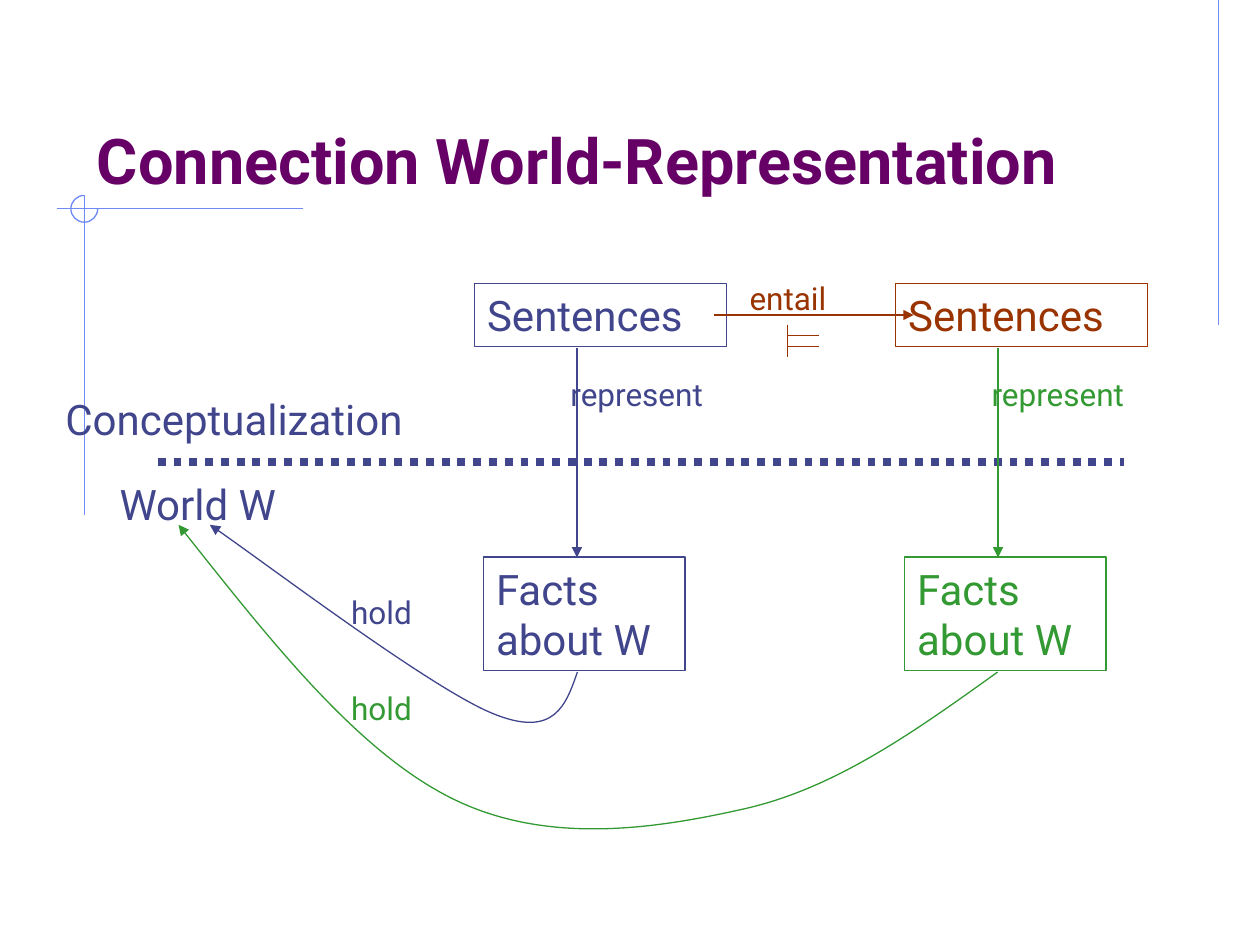
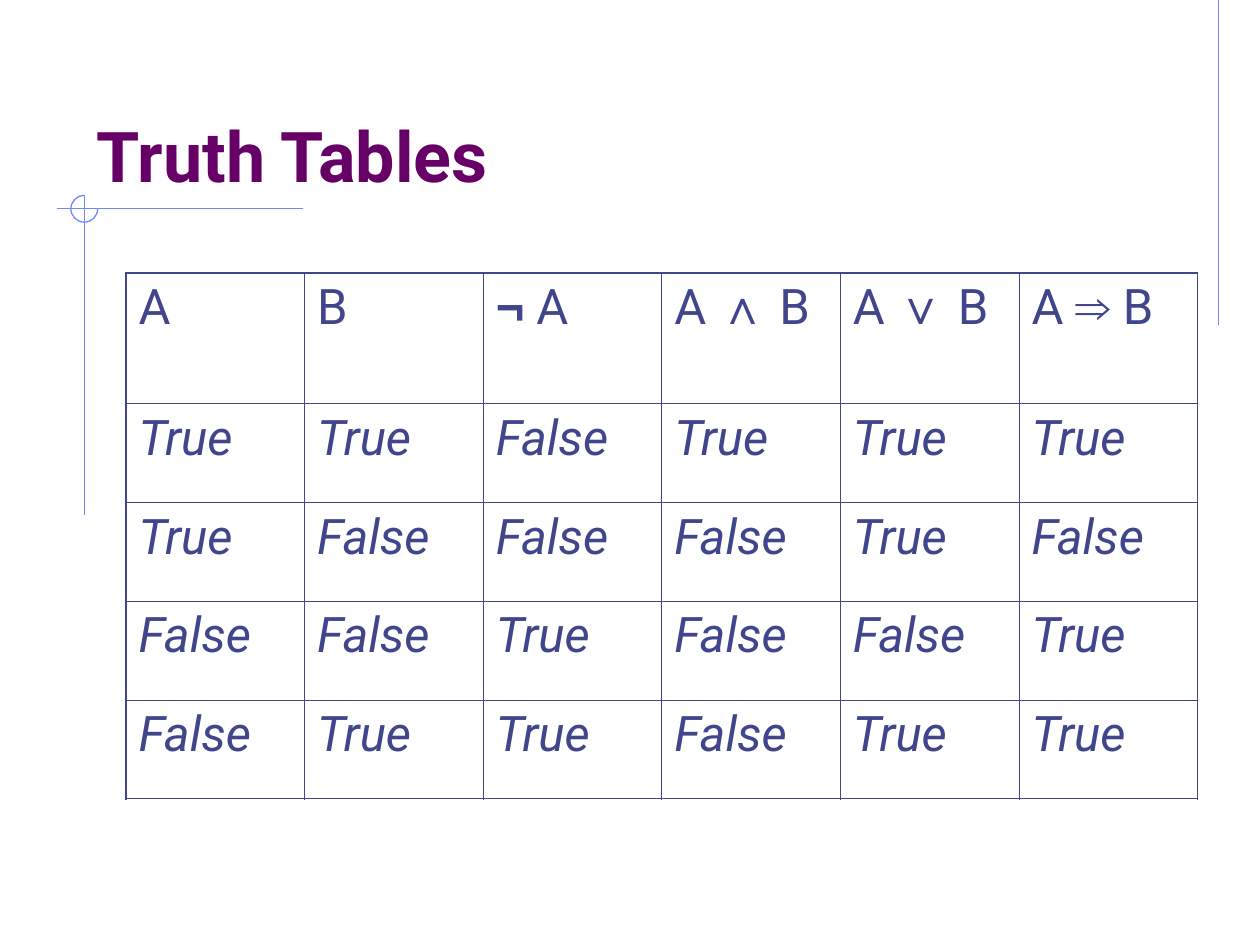
from lxml.etree import SubElement as Sub
from pptx import Presentation
from pptx.dml.color import RGBColor as Rgb
from pptx.enum.dml import MSO_LINE as Dash
from pptx.enum.shapes import MSO_CONNECTOR as Link, MSO_SHAPE as Form
from pptx.enum.text import MSO_ANCHOR as Anchor, MSO_AUTO_SIZE as Fit, PP_ALIGN as Align
from pptx.oxml.ns import qn
from pptx.util import Cm, Pt

HUE = {
    "ink": "40458C",
    "green": "339933",
    "rust": "993300",
    "title": "660066",
    "frame": "6F89F7",
}
BODY, MATH = "Roboto", "Arial"
SIGNS = "¬∧∨⇒"
THIN = 0.75
HEADS = ["A", "B", "¬ A", "A ∧ B", "A ∨ B", "A ⇒ B"]
TRUTH = ["TTFTTT", "TFFFTF", "FFTFFT", "FTTFTT"]
WORDS = {"T": "True", "F": "False"}


def color(name):
    return Rgb.from_string(HUE[name])


def write(frame, text, size=24, hue="ink", bold=False, italic=False, before=0):
    """Fill a text frame; logic signs are set in the bold sign font."""
    para = frame.paragraphs[0]
    para.alignment = Align.LEFT
    para.space_before = Pt(before)
    for row, line in enumerate(text.split("\n")):
        if row:
            para.add_line_break()
        parts = [line]
        for sign in SIGNS:
            if sign in line:
                parts = line.partition(sign)
        for part in filter(None, parts):
            run = para.add_run()
            run.text = part
            font = run.font
            font.name = MATH if part in SIGNS else BODY
            font.bold = bold or part in SIGNS
            font.italic = italic
            font.size = Pt(size)
            font.color.rgb = color(hue)


def stroke(shape, hue, width=THIN, dash=None, arrow=False):
    line = shape.line
    line.color.rgb = color(hue)
    line.width = Pt(width)
    if dash:
        line.dash_style = dash
    if arrow:
        Sub(shape.element.find(".//" + qn("a:ln")), qn("a:tailEnd"), type="triangle")


def rule(slide, x1, y1, x2, y2, hue, **style):
    line = slide.shapes.add_connector(Link.STRAIGHT, Cm(x1), Cm(y1), Cm(x2), Cm(y2))
    stroke(line, hue, **style)
    Sub(line.element.spPr, qn("a:effectLst"))


def curve(slide, points, hue, arrow=False):
    """Draw cubic curves: a start point, then three points for each curve."""
    first, *rest = [(Cm(x), Cm(y)) for x, y in points]
    pen = slide.shapes.build_freeform(*first)
    pen.add_line_segments(rest, close=False)
    shape = pen.convert_to_shape()
    shape.fill.background()
    shape.shadow.inherit = False
    stroke(shape, hue, arrow=arrow)
    track = shape.element.find(".//" + qn("a:path"))
    steps = track.findall(qn("a:lnTo"))
    for at in range(0, len(steps), 3):
        bend = Sub(track, qn("a:cubicBezTo"))
        for step in steps[at:at + 3]:
            bend.append(step[0])
            track.remove(step)


def label(slide, text, x, y, wide, high=1.02, border=False, **style):
    box = tuple(map(Cm, (x, y, wide, high)))
    if border:
        shape = slide.shapes.add_shape(Form.RECTANGLE, *box)
        shape.fill.background()
        shape.shadow.inherit = False
        stroke(shape, style["hue"])
    else:
        shape = slide.shapes.add_textbox(*box)
    frame = shape.text_frame
    frame.word_wrap = True
    frame.vertical_anchor = Anchor.TOP
    write(frame, text, **style)


def trim(slide):
    """Draw the frame lines and the open ring at their crossing."""
    rule(slide, 24.56, 0, 24.56, 6.56, "frame")
    rule(slide, 1.14, 4.21, 6.1, 4.21, "frame")
    rule(slide, 1.7, 3.94, 1.7, 10.39, "frame")
    bow = 0.55
    ring = [(0, -1), (-bow, -1), (-1, -bow), (-1, 0), (-1, bow),
            (-bow, 1), (0, 1), (bow, 1), (1, bow), (1, 0)]
    curve(slide, [(1.7 + 0.27 * x, 4.21 + 0.27 * y) for x, y in ring], "frame")


def start(deck, text, wide, size):
    """Add a slide with the shared trim and a titled placeholder."""
    slide = deck.slides.add_slide(deck.slide_layouts[5])
    trim(slide)
    title = slide.shapes.title
    title.left, title.top = Cm(1.7), Cm(0.85)
    title.width, title.height = Cm(wide), Cm(3.17)
    frame = title.text_frame
    frame.auto_size = Fit.NONE
    frame.word_wrap = True
    frame.vertical_anchor = Anchor.BOTTOM
    frame.margin_bottom = Cm(0.05)
    write(frame, text, size=size, hue="title", bold=True)
    return slide


def chain(slide, x, y, top, base):
    """Sentences above facts, joined by an arrow at x."""
    label(slide, "Sentences", x - 2.06, y, 5.08, 1.27, border=True, hue=top)
    rule(slide, x, y + 1.29, x, y + 5.52, base, arrow=True)
    label(slide, "represent", x - 0.38, y + 1.71, 3.94, size=18, hue=base)
    label(slide, "Facts \nabout W", x - 1.88, y + 5.51, 4.06, 2.29, border=True, hue=base)


def entail(slide, x, y):
    """Arrow with its word and the turnstile sign below it."""
    rule(slide, x, y, x + 4.02, y, "rust", arrow=True)
    label(slide, "entail", x + 0.46, y - 0.84, 2.79, size=18, hue="rust")
    stem = x + 1.48
    rule(slide, stem, y + 0.21, stem, y + 0.85, "rust")
    for bar in (0.42, 0.64):
        rule(slide, stem, y + bar, stem + 0.63, y + bar, "rust")


def world(slide, x, y):
    """Dotted border between the concepts and the world."""
    rule(slide, x, y, x + 19.48, y, "ink", width=4.5, dash=Dash.ROUND_DOT)
    label(slide, "World W", x - 1.02, y + 0.21, 4.06, 1.27)
    label(slide, "Conceptualization", x - 2.11, y - 1.51, 9.17, 1.27)


def holds(slide):
    near = [(11.64, 13.55), (11.41, 14.21), (11.18, 14.89), (9.95, 14.39),
            (8.72, 13.9), (5.18, 11.22), (4.23, 10.58)]
    far = [(20.11, 13.55), (18.49, 14.71), (16.87, 15.88), (15.03, 16.3),
           (13.18, 16.72), (11, 17.04), (9.1, 16.09),
           (7.2, 15.14), (5.4, 12.85), (3.6, 10.58)]
    for points, y, hue in ((near, 11.84, "ink"), (far, 13.77, "green")):
        curve(slide, points, hue, arrow=True)
        label(slide, "hold", 6.83, y, 2.03, size=18, hue=hue)


def edge(cell, side, width):
    line = Sub(cell.get_or_add_tcPr() if hasattr(cell, "get_or_add_tcPr") else cell,
               qn("a:ln" + side), w=str(Pt(width)))
    fill = Sub(line, qn("a:solidFill"))
    Sub(fill, qn("a:srgbClr"), val=HUE["ink"])


def grid(slide, x, y, wide, high):
    rows = [HEADS] + [[WORDS[mark] for mark in line] for line in TRUTH]
    down, across = len(rows), len(HEADS)
    table = slide.shapes.add_table(down, across, Cm(x), Cm(y), Cm(wide), Cm(high)).table
    table.first_row = table.horz_banding = False
    head = 2.63
    for r, row in enumerate(rows):
        table.rows[r].height = Cm(head if r == 0 else (high - head) / (down - 1))
        for c, text in enumerate(row):
            cell = table.cell(r, c)
            write(cell.text_frame, text, size=28, italic=r > 0, before=7)
            rims = {"L": c == 0, "R": c == across - 1, "T": r == 0, "B": r == down - 1}
            for side, outer in rims.items():
                edge(cell._tc, side, 1.08 if outer else 0.45)
            cell.fill.background()
    for col in table.columns:
        col.width = Cm(wide / across)


def main():
    deck = Presentation()
    deck.slide_width, deck.slide_height = Cm(25.4), Cm(19.05)

    slide = start(deck, "Connection World-Representation", 22.43, 36)
    world(slide, 3.18, 9.31)
    holds(slide)
    chain(slide, 11.63, 5.72, "ink", "ink")
    chain(slide, 20.12, 5.72, "rust", "green")
    entail(slide, 14.4, 6.35)

    slide = start(deck, "Truth Tables", 21.59, 40)
    grid(slide, 2.54, 5.51, 21.6, 10.59)

    deck.save("out.pptx")


if __name__ == "__main__":
    main()
